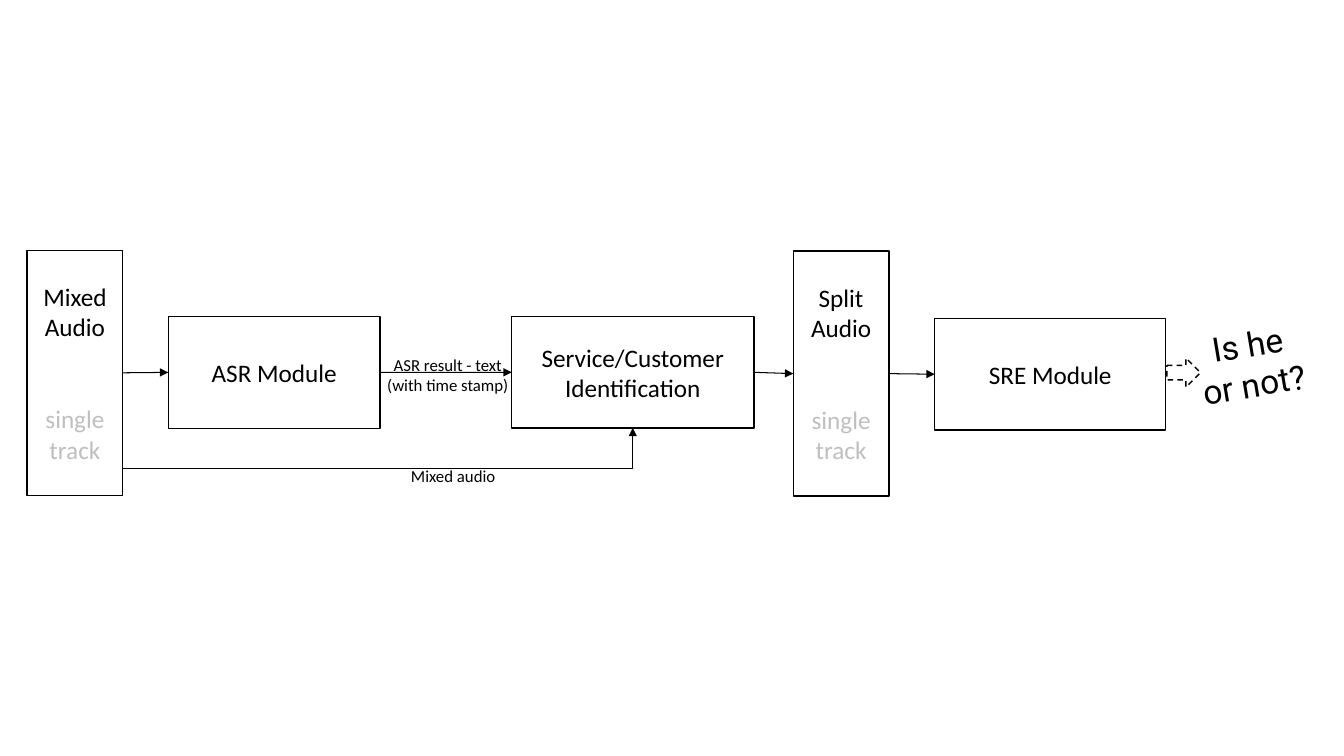
from dataclasses import dataclass

from lxml import etree
from pptx import Presentation
from pptx.dml.color import RGBColor
from pptx.enum import dml, shapes, text
from pptx.oxml import ns
from pptx.util import Pt

BLACK = RGBColor(0x00, 0x00, 0x00)
WHITE = RGBColor(0xFF, 0xFF, 0xFF)
GREY = RGBColor(0xBF, 0xBF, 0xBF)
TOP, LEFT, BOTTOM, RIGHT = range(4)
INSET = 3.6


@dataclass(frozen=True)
class Line:
    text: str
    color: RGBColor = BLACK
    before: float = 0


@dataclass(frozen=True)
class Item:
    """A box or label: place in points, then its text."""
    left: float
    top: float
    width: float
    height: float
    lines: tuple[Line, ...] = ()
    size: float = 18
    font: str = "Calibri"
    rotation: float = 0


TRACK = Line("single track", GREY, 44)
STAGES = (
    Item(19.3, 178.8, 68.4, 175, (Line("Mixed Audio"), TRACK)),
    Item(120.2, 226.1, 151.4, 79.8, (Line("ASR Module"),)),
    Item(365.5, 226.2, 173, 79.5, (Line("Service/Customer Identification"),)),
    Item(566.6, 179.4, 68.4, 175, (Line("Split Audio"), TRACK)),
    Item(667.7, 227.4, 165, 79.8, (Line("SRE Module"),)),
)
LABELS = (
    Item(265.2, 250, 109.4, 36,
         (Line("ASR result - text"), Line("(with time stamp)")), 12),
    Item(269, 329.2, 109.4, 21.6, (Line("Mixed audio"),), 12),
    Item(811.4, 227.5, 164, 65.5,
         (Line("Is he"), Line("or not?")), 24, "Roboto", 350.5),
)
OUTPUT_ARROW = Item(833.5, 255.8, 24, 20.8)


def place(item: Item) -> tuple[Pt, ...]:
    return tuple(Pt(v) for v in (item.left, item.top, item.width, item.height))


def write(sp, item: Item, anchor) -> None:
    tf = sp.text_frame
    frame = dict(word_wrap=True, vertical_anchor=anchor,
                 margin_left=Pt(INSET), margin_right=Pt(INSET),
                 margin_top=Pt(INSET), margin_bottom=Pt(INSET))
    for name, value in frame.items():
        setattr(tf, name, value)
    for i, line in enumerate(item.lines):
        p = tf.add_paragraph() if i else tf.paragraphs[0]
        p.alignment = text.PP_ALIGN.CENTER
        if line.before:
            p.space_before = Pt(line.before)
        r = p.add_run()
        r.text = line.text
        for name, value in dict(name=item.font, size=Pt(item.size)).items():
            setattr(r.font, name, value)
        r.font.color.rgb = line.color


def add_outlined(s, kind, item: Item):
    sp = s.shapes.add_shape(kind, *place(item))
    sp.shadow.inherit = False
    sp.fill.solid()
    sp.fill.fore_color.rgb = WHITE
    sp.line.color.rgb = BLACK
    sp.line.width = Pt(1)
    return sp


def add_stage(s, item: Item):
    sp = add_outlined(s, shapes.MSO_SHAPE.RECTANGLE, item)
    write(sp, item, text.MSO_ANCHOR.MIDDLE)
    return sp


def add_label(s, item: Item) -> None:
    sp = s.shapes.add_textbox(*place(item))
    sp.rotation = item.rotation
    write(sp, item, text.MSO_ANCHOR.TOP)


def add_arrow(s, kind, x1: float = 0, y1: float = 0, x2: float = 0, y2: float = 0):
    cn = s.shapes.add_connector(kind, Pt(x1), Pt(y1), Pt(x2), Pt(y2))
    cn.line.color.rgb = BLACK
    cn.line.width = Pt(0.75)
    etree.SubElement(cn.line._get_or_add_ln(), ns.qn("a:tailEnd"), type="triangle")
    etree.SubElement(cn._element.spPr, ns.qn("a:effectLst"))
    return cn


def add_bypass(s, source: Item, target: Item) -> None:
    """Lead the mixed audio around the ASR stage, with a single bend."""
    cn = add_arrow(s, shapes.MSO_CONNECTOR.ELBOW,
                   source.left + source.width, 334.6,
                   target.left + target.width / 2, target.top + target.height)
    cn._element.spPr.find(ns.qn("a:prstGeom")).set("prst", "bentConnector2")


def main() -> None:
    prs = Presentation()
    prs.slide_width, prs.slide_height = Pt(960), Pt(540)
    s = prs.slides.add_slide(prs.slide_layouts[6])

    stages = [add_stage(s, item) for item in STAGES]
    for source, target in zip(stages, stages[1:]):
        cn = add_arrow(s, shapes.MSO_CONNECTOR.STRAIGHT)
        cn.begin_connect(source, RIGHT)
        cn.end_connect(target, LEFT)
    add_bypass(s, STAGES[0], STAGES[2])
    for label in LABELS:
        add_label(s, label)
    arrow = add_outlined(s, shapes.MSO_SHAPE.RIGHT_ARROW, OUTPUT_ARROW)
    arrow.line.dash_style = dml.MSO_LINE.DASH
    prs.save("out.pptx")


if __name__ == "__main__":
    main()
